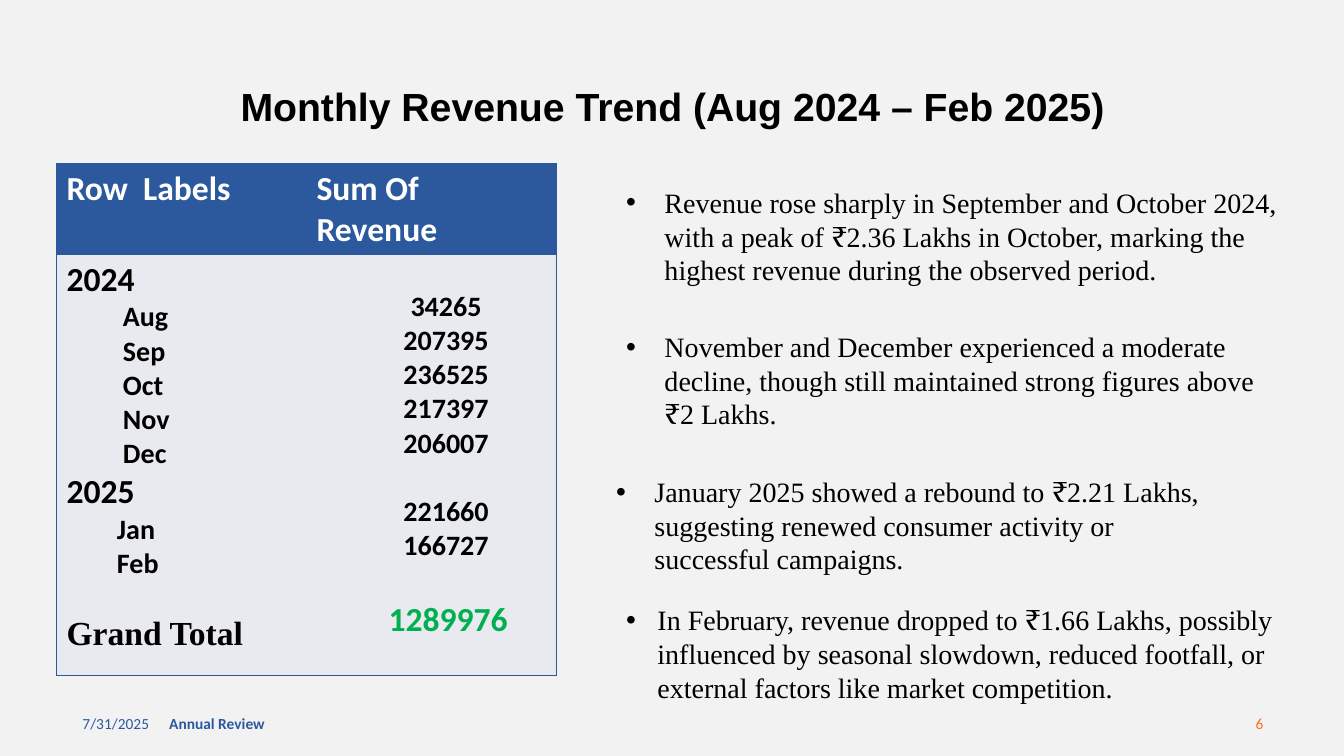
from dataclasses import dataclass

from lxml import etree
from pptx import Presentation
from pptx.dml.color import RGBColor
from pptx.enum.text import MSO_ANCHOR, MSO_AUTO_SIZE, PP_ALIGN
from pptx.oxml.ns import qn
from pptx.util import Emu, Inches, Pt

LEFT, MID, RIGHT = PP_ALIGN.LEFT, PP_ALIGN.CENTER, PP_ALIGN.RIGHT
TOP, MIDDLE = MSO_ANCHOR.TOP, MSO_ANCHOR.MIDDLE
FIT, FIXED = MSO_AUTO_SIZE.SHAPE_TO_FIT_TEXT, MSO_AUTO_SIZE.NONE
COMPARE = 4  # layout with a title and four bodies
PLAIN = "{2D5ABB26-0587-4C30-8999-92F81FD0307C}"  # table style without grid
WIDE, HIGH = Inches(13.33), Inches(7.5)


@dataclass(frozen=True)
class Theme:
    back: str = "F2F2F2"
    blue: str = "2C599D"
    pale: str = "E8EAEF"
    ink: str = "000000"
    white: str = "FFFFFF"
    green: str = "00B050"
    orange: str = "FA6F1A"
    sans: str = "Calibri"
    serif: str = "Times New Roman"
    head: str = "Arial"
    title: int = 28
    large: int = 24
    text: int = 20
    small: int = 11


T = Theme()


@dataclass(frozen=True)
class Box:
    """Place and size in percent of the slide."""
    x: float
    y: float
    w: float
    h: float

    def emu(self) -> tuple[Emu, Emu, Emu, Emu]:
        return (Emu(int(WIDE * self.x / 100)), Emu(int(HIGH * self.y / 100)),
                Emu(int(WIDE * self.w / 100)), Emu(int(HIGH * self.h / 100)))


@dataclass(frozen=True)
class Line:
    text: str
    size: int = T.text
    color: str = T.ink
    font: str = T.sans
    bold: bool = True
    align: PP_ALIGN = LEFT
    pad: float = 0  # left indent in inches
    gap: float = 0  # space before in points


@dataclass(frozen=True)
class Point:
    text: str
    y: float
    x: float = 45.84
    level: int = 0
    pad: float = 0.38
    hang: float = 0.38


@dataclass(frozen=True)
class Foot:
    line: Line
    x: float
    w: float


def rgb(code: str) -> RGBColor:
    return RGBColor.from_string(code)


def write(frame, lines: list[Line]) -> None:
    frame.text = "\n".join(line.text for line in lines)
    for para, line in zip(frame.paragraphs, lines):
        para.alignment = line.align
        para.space_before = Pt(line.gap)
        if line.pad:
            para._p.get_or_add_pPr().set("marL", str(Inches(line.pad)))
        for run in para.runs:
            font = run.font
            font.name, font.size, font.bold = line.font, Pt(line.size), line.bold
            font.color.rgb = rgb(line.color)


def place(shape, box: Box) -> None:
    shape.left, shape.top, shape.width, shape.height = box.emu()


def bullet(shape, point: Point) -> None:
    place(shape, Box(point.x, point.y, 50.04, 14.8))
    frame = shape.text_frame
    write(frame, [Line(point.text, font=T.serif, bold=False, pad=point.pad)])
    frame.auto_size, frame.vertical_anchor = FIT, TOP
    para = frame.paragraphs[0]
    para.level = point.level
    props = para._p.get_or_add_pPr()
    props.set("indent", str(-Inches(point.hang)))
    etree.SubElement(props, qn("a:buFont")).set("typeface", T.head)
    etree.SubElement(props, qn("a:buChar")).set("char", "•")


def border(cell, sides: str) -> None:
    props = cell._tc.get_or_add_tcPr()
    for side in sides:
        edge = etree.SubElement(props, qn(f"a:ln{side}"), w=str(Pt(1)))
        fill = etree.SubElement(edge, qn("a:solidFill"))
        etree.SubElement(fill, qn("a:srgbClr"), val=T.blue)


def months(names: list[str], pad: float) -> list[Line]:
    return [Line(name, pad=pad) for name in names]


def sums(values: list[int], gap: float = 0) -> list[Line]:
    return [Line(str(value), align=MID, pad=0.29, gap=0 if i else gap)
            for i, value in enumerate(values)]


HEADS = [[Line(text, T.large, T.white)] for text in ("Row  Labels", "Sum Of Revenue")]
LABELS = [
    Line("2024", T.large), *months(["Aug", "Sep", "Oct", "Nov", "Dec"], 0.56),
    Line("2025", T.large), *months(["Jan", "Feb"], 0.5),
    Line("Grand Total", T.large, font=T.serif, gap=24.4),
]
SUMS = [
    *sums([34265, 207395, 236525, 217397, 206007]),
    *sums([221660, 166727], gap=24.4),
    Line("1289976", T.large, T.green, align=MID, pad=0.33, gap=25.6),
]
POINTS = [
    Point("Revenue rose sharply in September and October 2024, with a peak of ₹2.36 Lakhs "
          "in October, marking the highest revenue during the observed period.", 23.87),
    Point("November and December experienced a moderate decline, though still maintained "
          "strong figures above ₹2 Lakhs.", 42.93),
    Point("January 2025 showed a rebound to ₹2.21 Lakhs, suggesting renewed consumer "
          "activity or successful campaigns.", 62.13, x=41.34, level=1, pad=0.88),
    Point("In February, revenue dropped to ₹1.66 Lakhs, possibly influenced by seasonal "
          "slowdown, reduced footfall, or external factors like market competition.",
          79.07, pad=0.31, hang=0.31),
]
FEET = [
    Foot(Line("7/31/2025", T.small, T.blue, bold=False), 5.4, 22.5),
    Foot(Line("Annual Review", T.small, T.blue), 11.85, 33.76),
    Foot(Line("6", T.small, T.orange, bold=False, align=RIGHT), 72.24, 22.5),
]


def grid(slide) -> None:
    frame = slide.shapes.add_table(2, 2, *Box(4.2, 21.6, 37.21, 62.27).emu())
    table = frame.table
    table._tbl.tblPr.find(qn("a:tableStyleId")).text = PLAIN
    table.horz_banding = False
    for row, height in zip(table.rows, (0.49, 4.18)):
        row.height = Inches(height)
    for r, (cells, fill) in enumerate(((HEADS, T.blue), ([LABELS, SUMS], T.pale))):
        for c, lines in enumerate(cells):
            cell = table.cell(r, c)
            border(cell, "RTB" if c else "LTB")
            cell.fill.solid()
            cell.fill.fore_color.rgb = rgb(fill)
            write(cell.text_frame, lines)
    table.cell(1, 1).margin_top = Inches(0.35)


def main() -> None:
    deck = Presentation()
    deck.slide_width, deck.slide_height = WIDE, HIGH
    slide = deck.slides.add_slide(deck.slide_layouts[COMPARE])
    slide.background.fill.solid()
    slide.background.fill.fore_color.rgb = rgb(T.back)

    # Title
    title = slide.shapes.title
    place(title, Box(6.9, 9.2, 86.27, 10.27))
    frame = title.text_frame
    write(frame, [Line("Monthly Revenue Trend (Aug 2024 – Feb 2025)", T.title,
                       font=T.head, align=MID)])
    frame.auto_size, frame.vertical_anchor = FIXED, MIDDLE
    frame.paragraphs[0].line_spacing = 0.9

    # Revenue table
    grid(slide)

    # Findings
    bodies = [shape for shape in slide.placeholders if shape.placeholder_format.idx]
    for body, point in zip(bodies, POINTS):
        bullet(body, point)

    # Footer
    for foot in FEET:
        note = slide.shapes.add_textbox(*Box(foot.x, 93.07, foot.w, 5.33).emu())
        note.text_frame.word_wrap = True
        note.text_frame.vertical_anchor = MIDDLE
        write(note.text_frame, [foot.line])

    deck.save("out.pptx")


if __name__ == "__main__":
    main()
